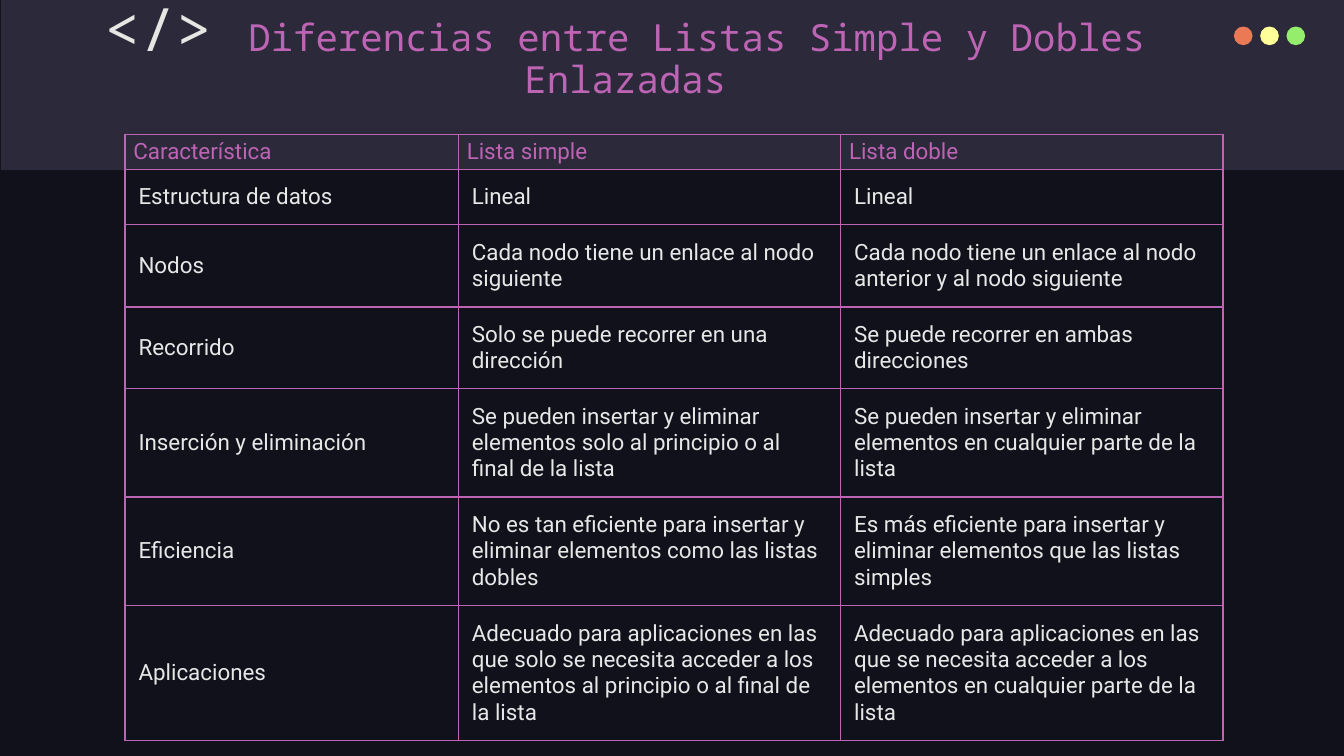
import dataclasses
import pptx
import pptx.util
import pptx.dml.color
import pptx.enum.shapes
import pptx.enum.text
import pptx.oxml.ns
import lxml.etree

Pt = pptx.util.Pt
SHAPE = pptx.enum.shapes.MSO_SHAPE


@dataclasses.dataclass(frozen=True)
class Theme:
    """Colours, fonts and type sizes."""
    back: str = "10111A"
    band: str = "2C293A"
    pink: str = "BD64B5"
    light: str = "E7E7E7"
    code: str = "E6E6E3"
    dots: tuple = ("EC7955", "FFFF99", "94EE6B")
    mono: str = "Noto Sans Mono"
    sans: str = "Roboto"
    large: int = 32
    title: int = 20
    body: int = 12


THEME = Theme()
WIDTHS = (178.6, 204.8, 204.8)
HEIGHTS = (18.7, 29.5, 44.3, 43.6, 58.1, 58.1, 72.5)
ROWS = (
    ("Característica", "Lista simple", "Lista doble"),
    ("Estructura de datos", "Lineal", "Lineal"),
    ("Nodos",
     "Cada nodo tiene un enlace al nodo siguiente",
     "Cada nodo tiene un enlace al nodo anterior y al nodo siguiente"),
    ("Recorrido",
     "Solo se puede recorrer en una dirección",
     "Se puede recorrer en ambas direcciones"),
    ("Inserción y eliminación",
     "Se pueden insertar y eliminar elementos solo al principio o al final de la lista",
     "Se pueden insertar y eliminar elementos en cualquier parte de la lista"),
    ("Eficiencia",
     "No es tan eficiente para insertar y eliminar elementos como las listas dobles",
     "Es más eficiente para insertar y eliminar elementos que las listas simples"),
    ("Aplicaciones",
     "Adecuado para aplicaciones en las que solo se necesita acceder a los "
     "elementos al principio o al final de la lista",
     "Adecuado para aplicaciones en las que se necesita acceder a los "
     "elementos en cualquier parte de la lista"),
)


def rgb(code):
    """Turn a hex code into a colour."""
    return pptx.dml.color.RGBColor.from_string(code)


def add_run(para, text, font, size, color):
    """Add one styled run to a paragraph."""
    run = para.add_run()
    run.text = text
    run.font.name = font
    run.font.size = Pt(size)
    run.font.color.rgb = rgb(color)


def add_solid(shapes, kind, box, color):
    """Add a plain filled shape with no line."""
    shape = shapes.add_shape(kind, *map(Pt, box))
    shape.shadow.inherit = False
    shape.fill.solid()
    shape.fill.fore_color.rgb = rgb(color)
    shape.line.fill.background()


def add_dots(slide):
    """Add the three window dots as one group."""
    group = slide.shapes.add_group_shape()
    for i, color in enumerate(THEME.dots):
        add_solid(group.shapes, SHAPE.OVAL, (661 + 14.1 * i, 14.2, 10, 10), color)


def add_title(slide):
    """Add the two-part centred title."""
    box = slide.shapes.add_textbox(Pt(15.1), Pt(-10.1), Pt(640), Pt(36.7))
    frame = box.text_frame
    frame.word_wrap = True
    frame.margin_left = frame.margin_right = frame.margin_bottom = Pt(7.2)
    frame.margin_top = Pt(11.3)
    para = frame.paragraphs[0]
    para.alignment = pptx.enum.text.PP_ALIGN.CENTER
    para.line_spacing = 0.85
    add_run(para, "</> ", THEME.mono, THEME.large, THEME.code)
    add_run(para, "Diferencias entre Listas Simple y Dobles Enlazadas",
            THEME.mono, THEME.title, THEME.pink)


def add_border(cell):
    """Draw a thin line on all four sides of a cell."""
    props = cell._tc.get_or_add_tcPr()
    qn = pptx.oxml.ns.qn
    for i, side in enumerate(("a:lnL", "a:lnR", "a:lnT", "a:lnB")):
        line = lxml.etree.Element(qn(side), w=str(Pt(1)))
        fill = lxml.etree.SubElement(line, qn("a:solidFill"))
        lxml.etree.SubElement(fill, qn("a:srgbClr"), val=THEME.pink)
        props.insert(i, line)


def fill_cell(cell, text, head):
    """Write and style one table cell."""
    side, edge = (4.5, 2.2) if head else (7.2, 7.2)
    cell.margin_left = cell.margin_right = Pt(side)
    cell.margin_top = cell.margin_bottom = Pt(edge)
    cell.vertical_anchor = pptx.enum.text.MSO_ANCHOR.MIDDLE
    cell.fill.background()
    add_border(cell)
    color = THEME.pink if head else THEME.light
    add_run(cell.text_frame.paragraphs[0], text, THEME.sans, THEME.body, color)


def add_grid(slide):
    """Add the comparison table."""
    frame = slide.shapes.add_table(len(ROWS), len(WIDTHS), Pt(67), Pt(72),
                                   Pt(sum(WIDTHS)), Pt(sum(HEIGHTS)))
    table = frame.table
    table.horz_banding = False
    table.first_row = False
    for col, width in zip(table.columns, WIDTHS):
        col.width = Pt(width)
    for r, (height, texts) in enumerate(zip(HEIGHTS, ROWS)):
        table.rows[r].height = Pt(height)
        for c, text in enumerate(texts):
            fill_cell(table.cell(r, c), text, r == 0)


def main():
    """Build and save the slide."""
    deck = pptx.Presentation()
    deck.slide_width, deck.slide_height = Pt(720), Pt(405)
    slide = deck.slides.add_slide(deck.slide_layouts[6])
    slide.background.fill.solid()
    slide.background.fill.fore_color.rgb = rgb(THEME.back)
    add_solid(slide.shapes, SHAPE.RECTANGLE, (0.5, 0, 720, 91.2), THEME.band)
    add_dots(slide)
    add_title(slide)
    add_grid(slide)
    deck.save("out.pptx")


main()
